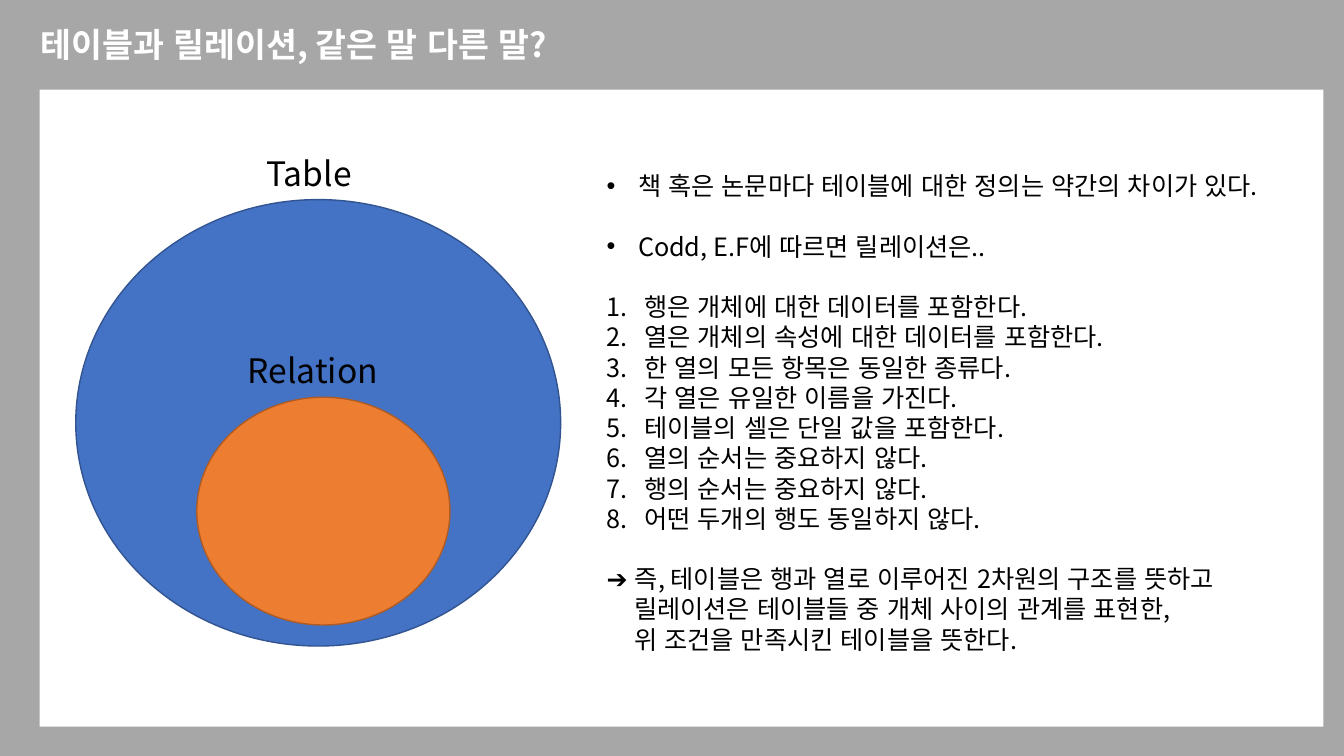
import pptx
import pptx.util
import pptx.dml.color
import pptx.enum.lang
import pptx.enum.shapes
import pptx.oxml.ns
import lxml.etree

Cm = pptx.util.Cm
Pt = pptx.util.Pt
KIND = pptx.enum.shapes.MSO_SHAPE

FONT = "Noto Sans CJK KR"
COLORS = {
    "frame": "A7A7A7", "white": "FFFFFF", "black": "000000",
    "blue": "4472C4", "navy": "325491",
    "orange": "ED7D31", "brown": "AF5C24",
}
WIDE, HIGH = 33.87, 19.05

BARS = [
    (-0.79, 0, 36.86, 2.26),
    (-0.79, 18.31, 36.86, 1.47),
    (-2.68, 0.38, 3.68, 18.29),
    (33.35, 0.38, 3.68, 18.29),
]
TITLE = ("테이블과 릴레이션, 같은 말 다른 말?", (0.77, 0.48, 14.48, 1.27))
SETS = [
    ("Table", (6.47, 3.73, 3.1, 1.27), (1.91, 5.03, 12.22, 11.25), "blue", "navy"),
    ("Relation", (5.99, 8.7, 5.33, 1.27), (4.96, 10.01, 6.38, 5.74), "orange", "brown"),
]
BODY = (15.04, 4.17, 16.94, 14.1)
POINTS = [
    "책 혹은 논문마다 테이블에 대한 정의는 약간의 차이가 있다.",
    "Codd, E.F에 따르면 릴레이션은..",
]
RULES = [
    "행은 개체에 대한 데이터를 포함한다.",
    "열은 개체의 속성에 대한 데이터를 포함한다.",
    "한 열의 모든 항목은 동일한 종류다.",
    "각 열은 유일한 이름을 가진다.",
    "테이블의 셀은 단일 값을 포함한다.",
    "열의 순서는 중요하지 않다.",
    "행의 순서는 중요하지 않다.",
    "어떤 두개의 행도 동일하지 않다.",
]
RESULT = [
    "➔ 즉, 테이블은 행과 열로 이루어진 2차원의 구조를 뜻하고",
    "릴레이션은 테이블들 중 개체 사이의 관계를 표현한,",
    "위 조건을 만족시킨 테이블을 뜻한다.",
]


def color(name):
    return pptx.dml.color.RGBColor.from_string(COLORS[name])


def add_form(slide, kind, box, fill, line=None):
    form = slide.shapes.add_shape(kind, *map(Cm, box))
    form.shadow.inherit = False
    form.fill.solid()
    form.fill.fore_color.rgb = color(fill)
    if line:
        form.line.color.rgb = color(line)
        form.line.width = Pt(1)
    else:
        form.line.fill.background()


def add_box(slide, box):
    frame = slide.shapes.add_textbox(*map(Cm, box)).text_frame
    frame.word_wrap = True
    return frame


def add_tag(parent, tag, **attrs):
    return lxml.etree.SubElement(parent, pptx.oxml.ns.qn(tag), **attrs)


def set_line(para, text, size, ink="black", bold=False):
    para.text = text
    para.line_spacing = Pt(size * 1.2)
    font = para.font
    font.name, font.size, font.bold = FONT, Pt(size), bold
    font.color.rgb = color(ink)
    for run in para.runs:
        run.font.name = FONT
        run.font.language_id = pptx.enum.lang.MSO_LANGUAGE_ID.KOREAN
        run.font._element.set("kern", "1200")
        add_tag(run.font._element, "a:ea", typeface=FONT)


def set_mark(para, left, hang, mark=None):
    props = para._p.get_or_add_pPr()
    props.set("marL", str(Cm(left)))
    props.set("indent", str(-Cm(hang)))
    last = props.find(pptx.oxml.ns.qn("a:defRPr"))
    if mark == "dot":
        marks = [add_tag(props, "a:buFont", typeface="Arial"),
                 add_tag(props, "a:buChar", char="•")]
    elif mark == "number":
        marks = [add_tag(props, "a:buFont", typeface=FONT),
                 add_tag(props, "a:buAutoNum", type="arabicPeriod")]
    else:
        marks = [add_tag(props, "a:buNone")]
    for item in marks:
        last.addprevious(item)


def add_body(slide):
    rows = [(text, 0.79, 0.79, "dot", i > 0) for i, text in enumerate(POINTS)]
    rows += [(text, 0.95, 0.95, "number", i == 0) for i, text in enumerate(RULES)]
    rows += [(text, 0.69 if i else 0, 0, None, i == 0) for i, text in enumerate(RESULT)]
    frame = add_box(slide, BODY)
    for i, (text, left, hang, mark, gap) in enumerate(rows):
        para = frame.add_paragraph() if i else frame.paragraphs[0]
        set_line(para, text, 18)
        if gap:
            para.space_before = Pt(21.6)
        set_mark(para, left, hang, mark)


def main():
    deck = pptx.Presentation()
    deck.slide_width, deck.slide_height = Cm(WIDE), Cm(HIGH)
    slide = deck.slides.add_slide(deck.slide_layouts[6])
    for box in BARS:
        add_form(slide, KIND.RECTANGLE, box, "frame")
    text, box = TITLE
    set_line(add_box(slide, box).paragraphs[0], text, 24, "white", True)
    for name, label, oval, fill, line in SETS:
        add_form(slide, KIND.OVAL, oval, fill, line)
        set_line(add_box(slide, label).paragraphs[0], name, 24)
    add_body(slide)
    deck.save("out.pptx")


if __name__ == "__main__":
    main()
